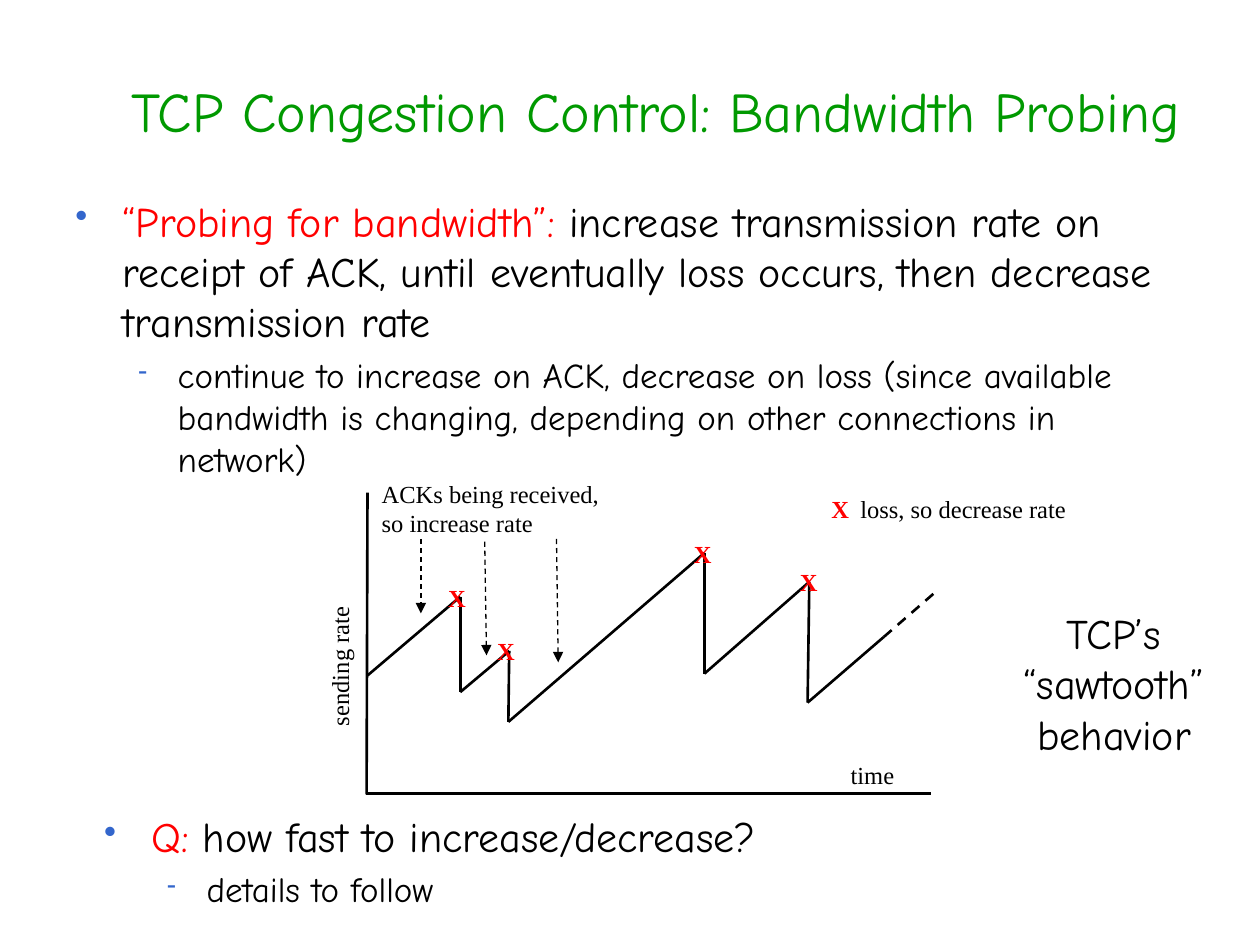
from dataclasses import dataclass
from itertools import pairwise

from lxml.etree import SubElement
from pptx import Presentation
from pptx.dml.color import RGBColor
from pptx.enum.dml import MSO_LINE
from pptx.enum.shapes import MSO_CONNECTOR
from pptx.enum.text import MSO_ANCHOR, MSO_AUTO_SIZE, PP_ALIGN
from pptx.oxml.ns import qn
from pptx.util import Pt


@dataclass(frozen=True)
class Theme:
    body_font: str = "Comic Neue"
    label_font: str = "Times New Roman"
    title_size: int = 32
    body_size: int = 24
    detail_size: int = 20
    label_size: int = 14
    black: RGBColor = RGBColor(0, 0, 0)
    red: RGBColor = RGBColor(255, 0, 0)
    green: RGBColor = RGBColor(0, 0x99, 0)
    bullet: str = "3366CC"
    plot_width: float = 1.5
    arrow_width: float = 0.75


THEME = Theme()

SAWTOOTH = [(210, 386), (263, 341), (263, 395.5), (291, 372), (290.5, 412.5),
            (402.5, 316), (402.5, 385), (462.5, 332.5), (461.5, 401.5), (505, 364)]
FORECAST_END = (535.5, 337.5)
AXES = [((210, 281.5), (209.5, 454)), ((209, 453.5), (532, 453.5))]
ACK_ARROWS = [((240.5, 308), (240.5, 350.5)), ((277, 309.5), (278, 374.5)),
              ((318, 308), (319, 378.5))]
LOSSES = [(249, 329.5), (277, 360), (389.5, 304.5), (450, 320.5)]


def set_font(para, name, size, color=THEME.black, bold=False):
    font = para.font
    font.name, font.size, font.bold = name, Pt(size), bold
    font.color.rgb = color


def add_box(shapes, left, top, width, height, wrap=True):
    box = shapes.add_textbox(Pt(left), Pt(top), Pt(width), Pt(height))
    box.text_frame.word_wrap = wrap
    box.text_frame.auto_size = MSO_AUTO_SIZE.NONE if wrap else MSO_AUTO_SIZE.SHAPE_TO_FIT_TEXT
    return box


def add_label(shapes, bounds, lines, name=THEME.label_font, size=THEME.label_size,
              color=THEME.black, bold=False, align=PP_ALIGN.LEFT):
    box = add_box(shapes, *bounds, wrap=False)
    box.text_frame.text = "\n".join(lines)
    for para in box.text_frame.paragraphs:
        para.alignment = align
        set_font(para, name, size, color, bold)
    return box


def add_loss_mark(shapes, left, top):
    add_label(shapes, (left, top, 24.5, 24), ["X"], color=THEME.red, bold=True)


def add_title(page, text):
    box = add_box(page.shapes, 42, 18, 666, 90)
    box.text_frame.vertical_anchor = MSO_ANCHOR.MIDDLE
    para = box.text_frame.paragraphs[0]
    para.text = text
    para.alignment = PP_ALIGN.CENTER
    set_font(para, THEME.body_font, THEME.title_size, THEME.green)


def set_bullet(para, char, percent, margin, hanging):
    properties = para._p.get_or_add_pPr()
    properties.set("marL", str(Pt(margin)))
    properties.set("indent", str(-Pt(hanging)))
    color = SubElement(properties, qn("a:buClr"))
    SubElement(color, qn("a:srgbClr"), val=THEME.bullet)
    SubElement(properties, qn("a:buSzPct"), val=str(percent * 1000))
    SubElement(properties, qn("a:buChar"), char=char)


def add_point(page, bounds, lead, rest, detail):
    """A bulleted statement with a red lead-in, and one detail below it."""
    frame = add_box(page.shapes, *bounds).text_frame
    main_para = frame.paragraphs[0]
    set_bullet(main_para, "•", 85, 27, 27)
    set_font(main_para, THEME.body_font, THEME.body_size)
    for text, color in ((lead, THEME.red), (rest, THEME.black)):
        span = main_para.add_run()
        span.text = text
        span.font.color.rgb = color

    detail_para = frame.add_paragraph()
    detail_para.text = detail
    detail_para.level = 1
    set_bullet(detail_para, "-", 75, 58.5, 22.5)
    detail_para.space_before = Pt(4)
    set_font(detail_para, THEME.body_font, THEME.detail_size)


def add_line(page, start, end, width=THEME.plot_width, dashed=False, arrow=False):
    line = page.shapes.add_connector(
        MSO_CONNECTOR.STRAIGHT, *(Pt(value) for value in (*start, *end)))
    line.line.color.rgb = THEME.black
    line.line.width = Pt(width)
    if dashed:
        line.line.dash_style = MSO_LINE.DASH
    if arrow:
        SubElement(line.line._get_or_add_ln(), qn("a:tailEnd"), type="triangle")
    SubElement(line._element.spPr, qn("a:effectLst"))


def add_sawtooth_plot(page):
    for start, end in AXES + list(pairwise(SAWTOOTH)):
        add_line(page, start, end)
    add_line(page, SAWTOOTH[-1], FORECAST_END, dashed=True)
    for start, end in ACK_ARROWS:
        add_line(page, start, end, THEME.arrow_width, dashed=True, arrow=True)
    for left, top in LOSSES:
        add_loss_mark(page.shapes, left, top)

    add_label(page.shapes, (211, 270, 155, 41),
              ["ACKs being received,", "so increase rate"])
    add_label(page.shapes, (146, 362, 96, 24), ["sending rate"]).rotation = 270
    add_label(page.shapes, (479, 431, 43, 24), ["time"])

    legend = page.shapes.add_group_shape()
    add_loss_mark(legend.shapes, 468, 278.5)
    add_label(legend.shapes, (484.5, 278.5, 157, 24), ["loss, so decrease rate"])


def main():
    deck = Presentation()
    deck.slide_width, deck.slide_height = Pt(720), Pt(540)
    page = deck.slides.add_slide(deck.slide_layouts[6])

    add_title(page, "TCP Congestion Control: Bandwidth Probing")
    add_point(page, (36, 108, 648, 114), "“Probing for bandwidth”: ",
              "increase transmission rate on receipt of ACK, until eventually "
              "loss occurs, then decrease transmission rate",
              "continue to increase on ACK, decrease on loss (since available "
              "bandwidth is changing, depending on other connections in network)")
    add_sawtooth_plot(page)
    add_point(page, (52.5, 459.5, 648, 67.5), "Q: ",
              "how fast to increase/decrease?", "details to follow")
    add_label(page.shapes, (568, 343.5, 137, 94), ["TCP’s", "“sawtooth”", "behavior"],
              THEME.body_font, THEME.body_size, align=PP_ALIGN.CENTER)

    deck.save("out.pptx")


if __name__ == "__main__":
    main()
